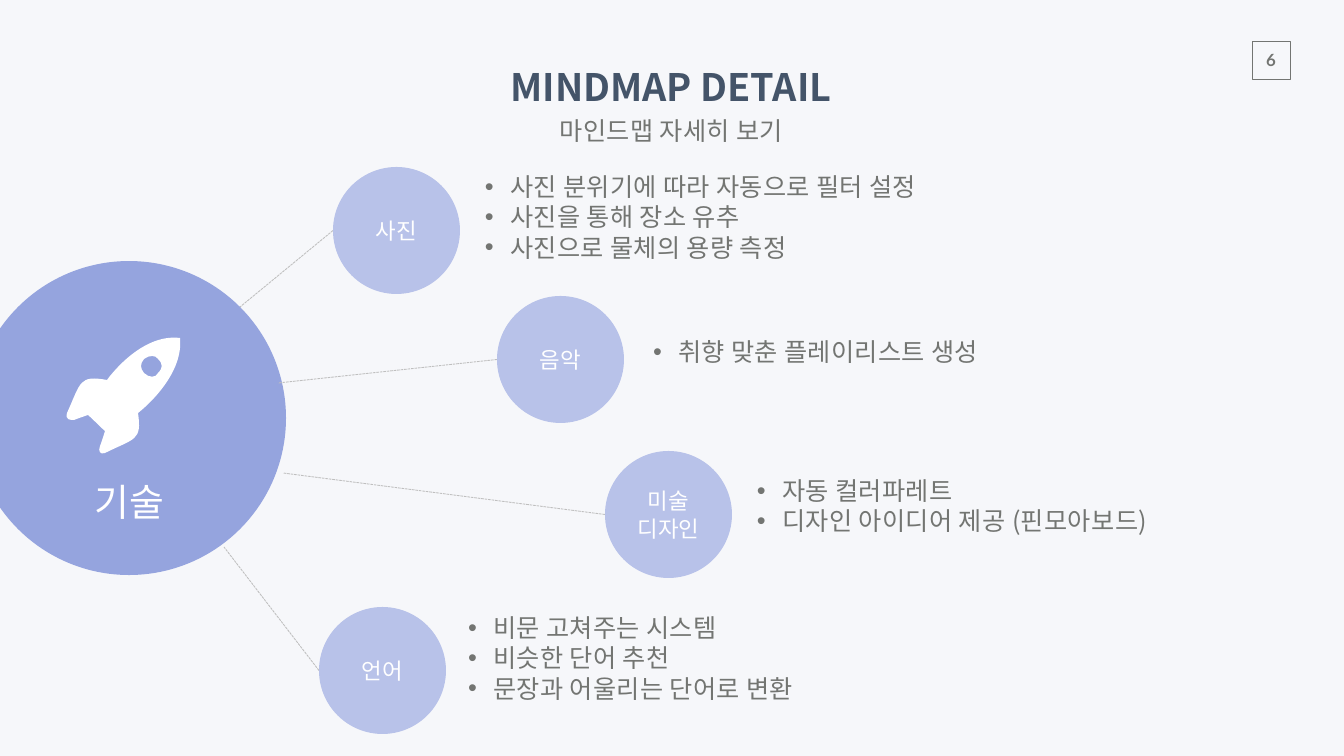
import pptx
import pptx.util
import pptx.dml.color
import pptx.enum.dml
import pptx.enum.shapes
import pptx.enum.text
import pptx.oxml
from dataclasses import dataclass

PX = 914400 / 50.4
NS = 'xmlns:a="http://schemas.openxmlformats.org/drawingml/2006/main"'
KIND = pptx.enum.shapes.MSO_SHAPE
ALIGN = pptx.enum.text.PP_ALIGN
ANCHOR = pptx.enum.text.MSO_ANCHOR
rgb = pptx.dml.color.RGBColor.from_string


@dataclass
class Theme:
    """Colours, fonts and type sizes."""
    back: str = "F6F7FA"
    hub: str = "95A4DE"
    node: str = "B8C2E9"
    white: str = "FFFFFF"
    head: str = "445469"
    gray: str = "737572"
    line: str = "BFBFBF"
    font: str = "Noto Sans CJK KR"
    digit: str = "Lato"
    large: int = 54
    text: int = 36
    label: int = 32
    small: int = 24


theme = Theme()


def put(shape, *box):
    """Place a shape by left, top, width and height in pixels."""
    shape.left, shape.top, shape.width, shape.height = [round(v * PX) for v in box]
    return shape


def write(shape, text, size, color, bold=False, font=theme.font, align=ALIGN.CENTER,
          anchor=ANCHOR.MIDDLE):
    """Fill a shape with text and format every paragraph."""
    frame = shape.text_frame
    frame.text = text
    frame.word_wrap = True
    frame.auto_size = pptx.enum.text.MSO_AUTO_SIZE.NONE
    frame.vertical_anchor = anchor
    frame.margin_left = frame.margin_right = round(5 * PX)
    frame.margin_top = frame.margin_bottom = 0
    for par in frame.paragraphs:
        par.alignment = align
        par.line_spacing = pptx.util.Pt(size * 1.207)
        par.space_before = par.space_after = pptx.util.Pt(0)
        for run in par.runs:
            run.font.size = pptx.util.Pt(size)
            run.font.bold = bold
            run.font.name = font
            run.font.color.rgb = rgb(color)
            run.font._element.append(pptx.oxml.parse_xml(f'<a:ea {NS} typeface="{font}"/>'))
            if size == theme.text:
                run.font._element.set("spc", "50")


deck = pptx.Presentation()
deck.slide_width, deck.slide_height = round(1344 * PX), round(756 * PX)
slide = deck.slides.add_slide(deck.slide_layouts.get_by_name("Comparison"))
slide.background.fill.solid()
slide.background.fill.fore_color.rgb = rgb(theme.back)
shapes = slide.shapes
title, *lists = slide.placeholders

# Heading and page number
write(put(title, 497, 56, 348, 60), "MINDMAP DETAIL", theme.large, theme.head, bold=True)
sub = put(shapes.add_textbox(0, 0, 0, 0), 543, 108, 257, 44)
write(sub, "마인드맵 자세히 보기", theme.text, theme.gray)
page = put(shapes.add_shape(KIND.RECTANGLE, 0, 0, 0, 0), 1252, 41, 38, 38)
page.shadow.inherit = False
page.fill.background()
page.line.color.rgb = rgb(theme.gray)
page.line.width = pptx.util.Pt(1)
write(page, "6", theme.small, theme.gray, bold=True, font=theme.digit)

# Hub with its rocket
hub = put(shapes.add_shape(KIND.OVAL, 0, 0, 0, 0), -28, 261, 314, 314)
label = put(shapes.add_textbox(0, 0, 0, 0), 80, 471, 99, 60)
write(label, "기술", theme.large, theme.white)

# Each contour is a start point, then cubic curves of two handles and an end
body = [(138, 413),
        (138, 413), (184, 378), (180, 338),
        (140, 333), (107, 380), (107, 380),
        (79, 375), (81, 382), (67, 413),
        (65, 420), (70, 420), (74, 420),
        (79, 418), (88, 415), (88, 415),
        (94, 420), (99, 426), (105, 431),
        (105, 431), (102, 441), (100, 446),
        (98, 451), (100, 455), (105, 453),
        (135, 438), (142, 441), (138, 413)]
window = [(144, 373),
          (140, 368), (140, 364), (144, 359),
          (149, 355), (156, 355), (158, 359),
          (163, 364), (163, 368), (158, 373),
          (156, 378), (149, 378), (144, 373)]
pen = shapes.build_freeform(*body[0], scale=PX)
pen.add_line_segments(body[3::3], close=True)
pen.move_to(*window[0])
pen.add_line_segments(window[3::3], close=True)
rocket = pen.convert_to_shape()

# Turn each straight segment into a curve by adding its two handles
left, top = min(x for x, y in body[::3]), min(y for x, y in body[::3])
curves = [part[i:i + 3] for part in (body, window) for i in range(1, len(part), 3)]
for seg, curve in zip(rocket._element.xpath(".//a:lnTo"), curves):
    dots = "".join(f'<a:pt x="{x - left}" y="{y - top}"/>' for x, y in curve)
    bend = pptx.oxml.parse_xml(f"<a:cubicBezTo {NS}>{dots}</a:cubicBezTo>")
    seg.getparent().replace(seg, bend)
for shape, color in ((hub, theme.hub), (rocket, theme.white)):
    shape.shadow.inherit = False
    shape.fill.solid()
    shape.fill.fore_color.rgb = rgb(color)
    shape.line.fill.background()

# Branches: label, circle corner, end of line at the hub, list box, list items
SIDE = 127
nodes = [
    ("사진", (333, 167), (240, 307), (480, 170, 455, 97),
     ["사진 분위기에 따라 자동으로 필터 설정", "사진을 통해 장소 유추",
      "사진으로 물체의 용량 측정"]),
    ("음악", (497, 296), (278, 383), (648, 335, 344, 36),
     ["취향 맞춘 플레이리스트 생성"]),
    ("미술\n디자인", (605, 451), (283, 473), (752, 474, 411, 97),
     ["자동 컬러파레트", "디자인 아이디어 제공 (핀모아보드)"]),
    ("언어", (319, 607), (224, 547), (463, 611, 344, 97),
     ["비문 고쳐주는 시스템", "비슷한 단어 추천", "문장과 어울리는 단어로 변환"]),
]
for (name, (x, y), end, box, items), area in zip(nodes, lists):
    ends = [round(v * PX) for v in (x, y + SIDE / 2, *end)]
    link = shapes.add_connector(pptx.enum.shapes.MSO_CONNECTOR.STRAIGHT, *ends)
    link.line.color.rgb = rgb(theme.line)
    link.line.width = pptx.util.Pt(1.25)
    link.line.dash_style = pptx.enum.dml.MSO_LINE.SQUARE_DOT
    link._element.spPr.append(pptx.oxml.parse_xml(f"<a:effectLst {NS}/>"))

    node = put(shapes.add_shape(KIND.OVAL, 0, 0, 0, 0), x, y, SIDE, SIDE)
    node.shadow.inherit = False
    node.fill.solid()
    node.fill.fore_color.rgb = rgb(theme.node)
    node.line.fill.background()
    write(node, name, theme.label, theme.white)

    write(put(area, *box), "\n".join(items), theme.text, theme.gray,
          align=ALIGN.LEFT, anchor=ANCHOR.TOP)
    for par in area.text_frame.paragraphs:
        props = par._p.get_or_add_pPr()
        props.set("marL", str(pptx.util.Inches(0.5)))
        props.set("indent", str(-pptx.util.Inches(0.5)))
        props.append(pptx.oxml.parse_xml(f'<a:buFont {NS} typeface="Arial"/>'))
        props.append(pptx.oxml.parse_xml(f'<a:buChar {NS} char="•"/>'))
    area.text_frame.margin_top = round(PX)

deck.save("out.pptx")
